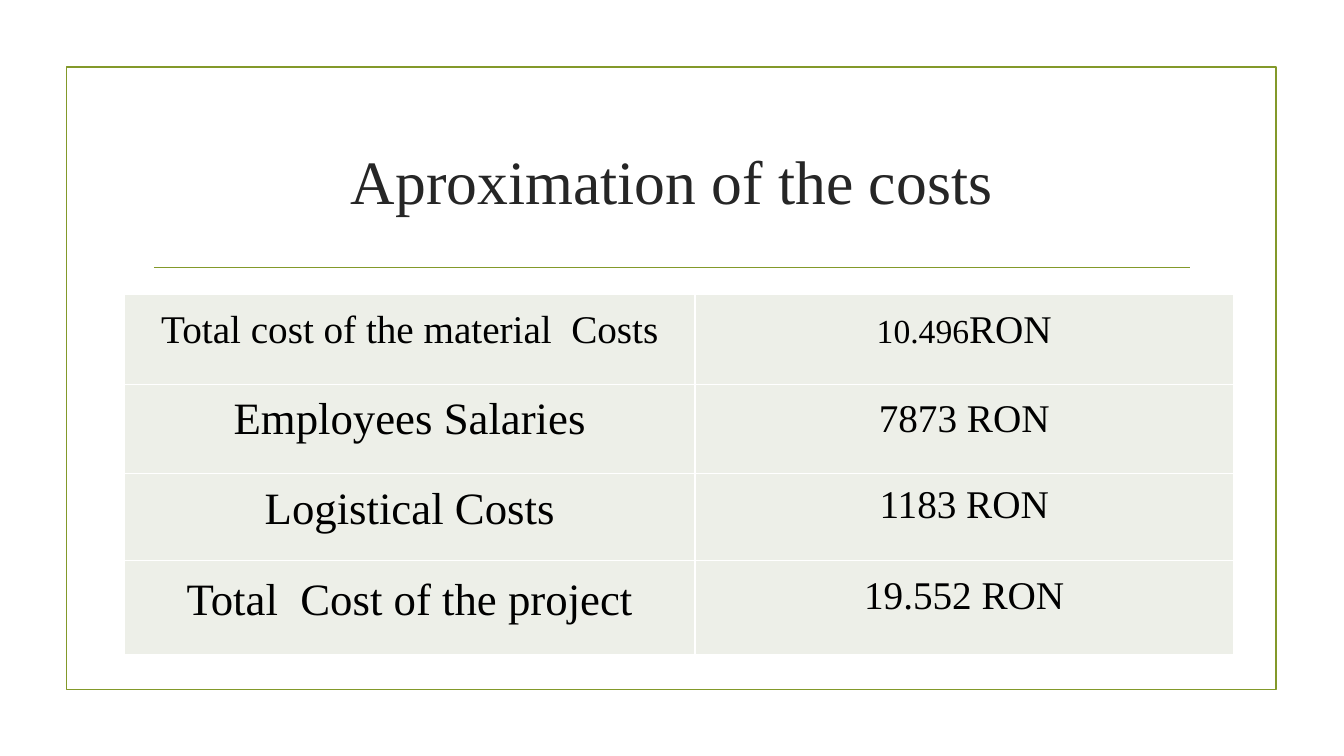
from pptx import Presentation
from pptx.dml.color import RGBColor
from pptx.enum.shapes import MSO_CONNECTOR as Link, MSO_SHAPE as Shape
from pptx.enum.text import MSO_ANCHOR as Anchor, PP_ALIGN as Align
from pptx.oxml.ns import qn
from pptx.util import Pt
from lxml.etree import SubElement as Sub

# Content: each cell is (line spacing, [(text, size), ...])
TITLE = "Aproximation of the costs"
COSTS = [
    [(1.15, [("Total cost of the material  Costs", 28)]),
     (1.15, [("10.496", 24), ("RON", 28)])],
    [(1.07, [("Employees Salaries", 32)]), (1.15, [("7873 RON", 28)])],
    [(1.07, [("Logistical Costs", 32)]), (1.07, [("1183 RON", 28)])],
    [(1.15, [("Total  Cost of the project", 32)]),
     (1.15, [("19.552 RON", 28)])],
]
COLS = [407.5, 384.5]
ROWS = [64, 64, 62, 67]
FONT = "Times New Roman"
GREEN, DARK, BLACK, PALE, WHITE = "83992A", "262626", "000000", "EDEFE8", "FFFFFF"


def color(code):
    return RGBColor.from_string(code)


def write(frame, runs, code, gap=1.0):
    para = frame.paragraphs[0]
    para.alignment = Align.CENTER
    para.line_spacing = gap
    for text, size in runs:
        run = para.add_run()
        run.text = text
        run.font.name = FONT
        run.font.size = Pt(size)
        run.font.color.rgb = color(code)


def edge(cell):
    props = cell._tc.get_or_add_tcPr()
    for i, side in enumerate(("lnL", "lnR", "lnT", "lnB")):
        line = props.makeelement(qn("a:" + side), {"w": str(Pt(1))})
        fill = Sub(line, qn("a:solidFill"))
        Sub(fill, qn("a:srgbClr"), val=WHITE)
        props.insert(i, line)


deck = Presentation()
deck.slide_width, deck.slide_height = Pt(960), Pt(540)
slide = deck.slides.add_slide(deck.slide_layouts[6])
shapes = slide.shapes

# Frame
frame = shapes.add_shape(Shape.RECTANGLE, Pt(47.5), Pt(48), Pt(864), Pt(444.5))
frame.shadow.inherit = False
frame.fill.background()
frame.line.color.rgb = color(GREEN)
frame.line.width = Pt(1.25)

# Title and rule
rule = shapes.add_connector(Link.STRAIGHT, Pt(110), Pt(191), Pt(850), Pt(191))
rule.line.color.rgb = color(GREEN)
rule.line.width = Pt(1.25)
Sub(rule._element.spPr, qn("a:effectLst"))

box = shapes.add_textbox(Pt(102), Pt(77), Pt(756), Pt(103)).text_frame
box.word_wrap = True
box.vertical_anchor = Anchor.MIDDLE
write(box, [(TITLE, 44)], DARK)

# Cost table
table = shapes.add_table(len(ROWS), len(COLS), Pt(89), Pt(210.5),
                         Pt(sum(COLS)), Pt(sum(ROWS))).table
table.first_row = table.horz_banding = False
for col, width in zip(table.columns, COLS):
    col.width = Pt(width)
for row, high, costs in zip(table.rows, ROWS, COSTS):
    row.height = Pt(high)
    for cell, (gap, runs) in zip(row.cells, costs):
        cell.margin_left = cell.margin_right = Pt(5)
        cell.margin_top = cell.margin_bottom = Pt(5)
        cell.fill.solid()
        cell.fill.fore_color.rgb = color(PALE)
        edge(cell)
        write(cell.text_frame, runs, BLACK, gap)

deck.save("out.pptx")
